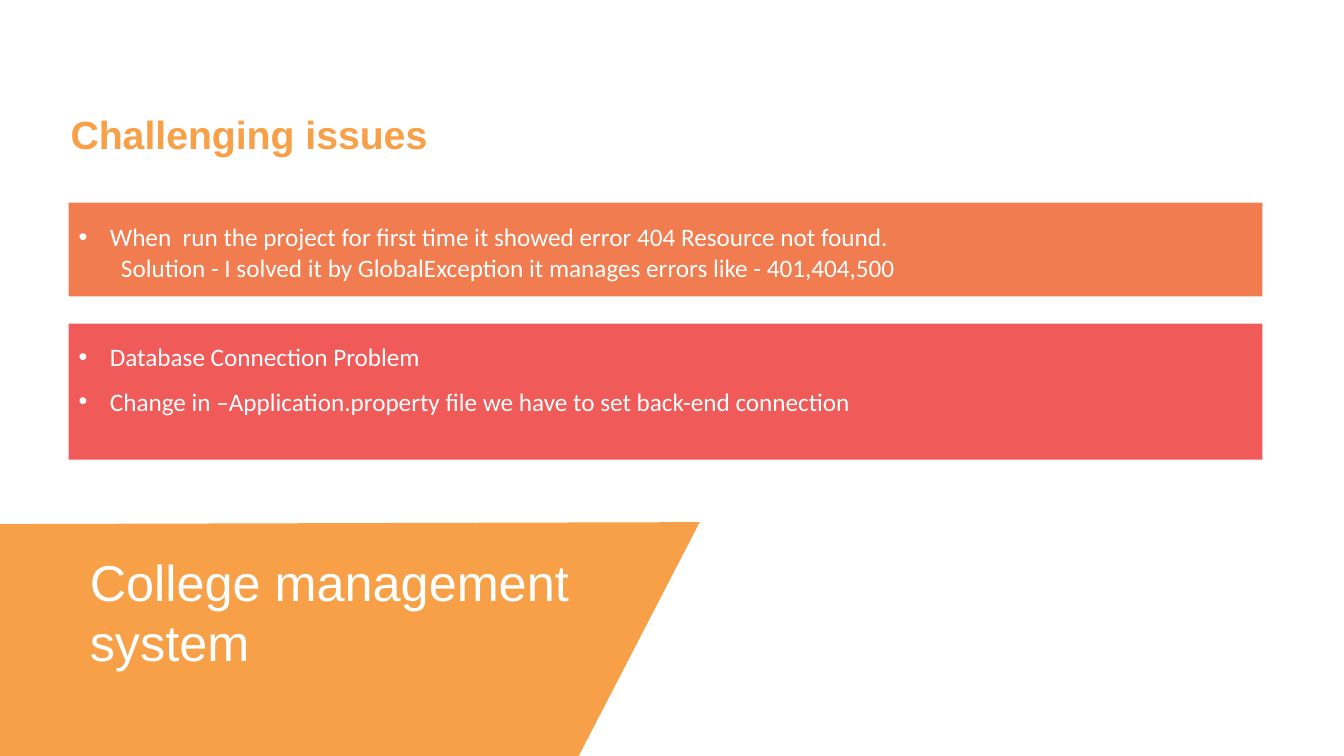
from dataclasses import dataclass
from typing import Any

from pptx import Presentation
from pptx.dml.color import RGBColor as Rgb
from pptx.enum.text import MSO_ANCHOR as Anchor, MSO_AUTO_SIZE as Fit, PP_ALIGN as Align
from pptx.oxml import parse_xml
from pptx.oxml.ns import nsdecls
from pptx.util import Inches, Pt


@dataclass(frozen=True)
class Theme:
    gold: str = "F8A047"
    orange: str = "F07C4F"
    red: str = "F05A59"
    white: str = "FFFFFF"
    head: str = "Arial"
    text: str = "Calibri"
    big: int = 36
    title: int = 28
    body: int = 18


@dataclass(frozen=True)
class Box:
    left: float
    top: float
    width: float
    height: float


@dataclass(frozen=True)
class Line:
    text: str
    mark: bool = True
    after: int = 10


@dataclass(frozen=True)
class Panel:
    fill: str
    height: float
    inset: float
    anchor: Any
    lines: tuple[Line, ...]


THEME = Theme()
WIDE, HIGH = Inches(13.33), Inches(7.5)
EDGE, SPAN, START, GAP = 5.1, 88.82, 26.8, 3.6
HANG, STEP = Inches(0.31), Inches(0.11)
TITLE = Box(4.5, 13.87, 48.31, 7.6)
LABEL = Box(6.38, 72.8, 39.16, 16.13)
BANNER = ((0, 69.33), (52.06, 69.07), (43.06, 100), (0, 100))

PANELS = (
    Panel(THEME.orange, 12.4, 0.1, Anchor.MIDDLE, (
        Line("When  run the project for first time it showed error 404 Resource not found.", after=0),
        Line("Solution - I solved it by GlobalException it manages errors like - 401,404,500", mark=False),
    )),
    Panel(THEME.red, 18, 0.18, Anchor.TOP, (
        Line("Database Connection Problem"),
        Line("Change in –Application.property file we have to set back-end connection"),
    )),
)


def col(share: float) -> int:
    return round(WIDE * share / 100)


def row(share: float) -> int:
    return round(HIGH * share / 100)


def apply(item: Any, values: dict[str, Any]) -> None:
    for name, value in values.items():
        setattr(item, name, value)


def place(shape: Any, box: Box) -> None:
    apply(shape, {"left": col(box.left), "top": row(box.top),
                  "width": col(box.width), "height": row(box.height)})


def paint(shape: Any, color: str) -> None:
    shape.fill.solid()
    shape.fill.fore_color.rgb = Rgb.from_string(color)
    shape.line.fill.background()


def style(font: Any, face: str, size: int, color: str, bold: bool = False) -> None:
    apply(font, {"name": face, "size": Pt(size), "bold": bold})
    font.color.rgb = Rgb.from_string(color)


def frame(shape: Any, anchor: Any, side: float, top: float, base: float) -> Any:
    body = shape.text_frame
    apply(body, {"word_wrap": True, "auto_size": Fit.NONE, "vertical_anchor": anchor,
                 "margin_left": Inches(side), "margin_right": Inches(side),
                 "margin_top": Inches(top), "margin_bottom": Inches(base)})
    return body


def write(para: Any, text: str, face: str, size: int, color: str, bold: bool = False) -> None:
    apply(para, {"alignment": Align.LEFT, "line_spacing": 1.0, "space_before": Pt(0)})
    run = para.add_run()
    run.text = text
    style(run.font, face, size, color, bold)


def bullet(para: Any, mark: bool) -> None:
    props = para._p.get_or_add_pPr()
    props.set("marL", str(HANG if mark else HANG + STEP))
    props.set("indent", str(-HANG if mark else 0))
    tag = 'buChar {} char="•"' if mark else "buNone {}"
    props.append(parse_xml(f"<a:{tag.format(nsdecls('a'))}/>"))


def fill(shape: Any, panel: Panel, top: float) -> None:
    place(shape, Box(EDGE, top, SPAN, panel.height))
    paint(shape, panel.fill)
    body = frame(shape, panel.anchor, 0.1, panel.inset, 0.05)
    for rank, line in enumerate(panel.lines):
        para = body.add_paragraph() if rank else body.paragraphs[0]
        write(para, line.text, THEME.text, THEME.body, THEME.white)
        para.space_after = Pt(line.after)
        bullet(para, line.mark)


def main() -> None:
    deck = Presentation()
    apply(deck, {"slide_width": WIDE, "slide_height": HIGH})
    slide = deck.slides.add_slide(deck.slide_layouts[3])
    shapes = slide.shapes

    title = shapes.title
    place(title, TITLE)
    body = frame(title, Anchor.TOP, 0.1, 0.05, 0.05)
    write(body.paragraphs[0], "Challenging issues", THEME.head, THEME.title, THEME.gold, True)

    top = START
    for slot, panel in enumerate(PANELS, 1):
        fill(slide.placeholders[slot], panel, top)
        top += panel.height + GAP

    first, *rest = [(col(x), row(y)) for x, y in BANNER]
    pen = shapes.build_freeform(*first)
    pen.add_line_segments(rest, close=True)
    banner = pen.convert_to_shape()
    banner.shadow.inherit = False
    paint(banner, THEME.gold)

    label = shapes.add_textbox(0, 0, 0, 0)
    place(label, LABEL)
    body = frame(label, Anchor.MIDDLE, 0.04, 0, 0)
    write(body.paragraphs[0], "College management system", THEME.head, THEME.big, THEME.white)

    deck.save("out.pptx")


if __name__ == "__main__":
    main()
